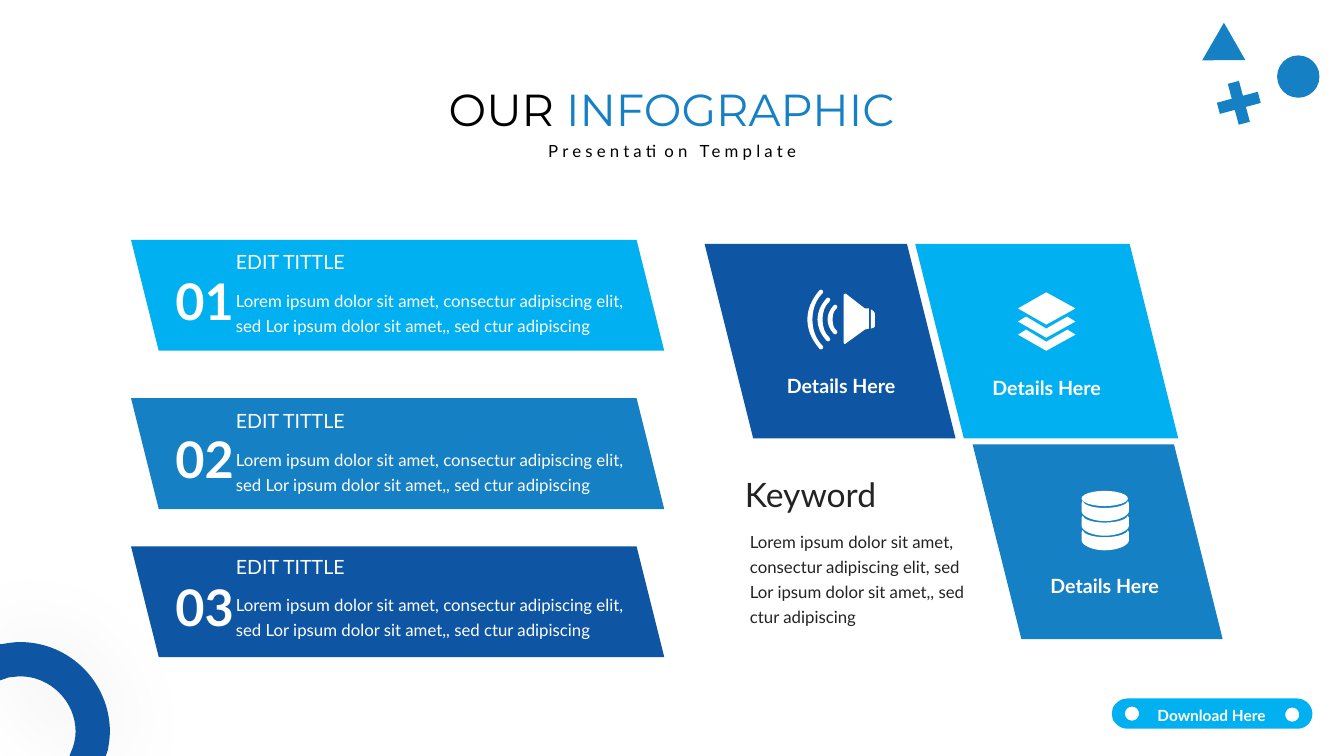
from dataclasses import dataclass

from lxml import etree
from pptx import Presentation
from pptx.dml.color import RGBColor
from pptx.enum.shapes import MSO_SHAPE
from pptx.enum.text import MSO_ANCHOR, MSO_AUTO_SIZE, PP_ALIGN
from pptx.oxml.ns import qn
from pptx.util import Inches, Pt

PARALLELOGRAM, OVAL = MSO_SHAPE.PARALLELOGRAM, MSO_SHAPE.OVAL
TRIANGLE, PLUS = MSO_SHAPE.ISOSCELES_TRIANGLE, MSO_SHAPE.CROSS
LEFT, CENTER = PP_ALIGN.LEFT, PP_ALIGN.CENTER
TOP, GROW = MSO_ANCHOR.TOP, MSO_AUTO_SIZE.SHAPE_TO_FIT_TEXT
LOREM = ("Lorem ipsum dolor sit amet, consectur adipiscing elit, "
         "sed Lor ipsum dolor sit amet,, sed ctur adipiscing")


@dataclass(frozen=True)
class Theme:
    sky: str = "00B0F0"
    blue: str = "1580C4"
    navy: str = "0E55A3"
    white: str = "FFFFFF"
    black: str = "000000"
    ink: str = "232323"
    body_font: str = "Lato"
    title_font: str = "Montserrat"
    number: int = 36
    title: int = 32
    keyword: int = 24
    heading: int = 14
    body: int = 12
    button: int = 11


@dataclass(frozen=True)
class Box:
    left: float
    top: float
    width: float
    height: float

    def emu(self) -> list[int]:
        return [Inches(v) for v in (self.left, self.top, self.width, self.height)]


@dataclass(frozen=True)
class Card:
    number: str
    top: float
    heading_top: float
    body_top: float
    color: str


@dataclass(frozen=True)
class Tile:
    box: Box
    label: Box
    color: str


@dataclass(frozen=True)
class Wave:
    left: float
    tip: float
    half: float


THEME = Theme()
CARDS = [Card("01", 2.38, 2.48, 2.83, THEME.sky), Card("02", 3.95, 4.06, 4.41, THEME.blue),
         Card("03", 5.42, 5.51, 5.85, THEME.navy)]
TILES = [Tile(Box(9.08, 2.42, 2.61, 1.93), Box(9.35, 3.68, 2.07, 0.34), THEME.sky),
         Tile(Box(6.99, 2.42, 2.49, 1.93), Box(7.58, 3.66, 1.53, 0.34), THEME.navy),
         Tile(Box(9.65, 4.41, 2.48, 1.93), Box(10.07, 5.64, 1.78, 0.34), THEME.blue)]
WAVES = [Wave(8.21, 8.30, 0.14), Wave(8.11, 8.23, 0.21), Wave(8.01, 8.16, 0.29)]
WAVE_MIDDLE = 3.17

# Outlines in inches: M start, L line, C cubic curve, Z close
PATH_TAGS = {"M": "a:moveTo", "L": "a:lnTo", "C": "a:cubicBezTo", "Z": "a:close"}
SPEAKER = ("M 8.4 2.92 L 8.58 3.06 L 8.62 3.06 L 8.62 3.26 L 8.58 3.27 L 8.4 3.4 "
           "C 8.4 3.4 8.37 3.43 8.37 3.4 L 8.37 2.92 C 8.37 2.9 8.4 2.92 8.4 2.92 Z")
SPEAKER_BACK = ("M 8.68 3.11 L 8.68 3.24 C 8.68 3.25 8.66 3.25 8.64 3.26 "
                "L 8.64 3.07 C 8.66 3.08 8.68 3.09 8.68 3.11 Z")
LAYER_TOP = "M 10.1 3.06 L 10.38 2.9 L 10.67 3.06 L 10.38 3.22 Z"
LAYER = "M 10.38 3.26 L 10.59 3.14 L 10.67 3.19 L 10.38 3.35 L 10.1 3.19 L 10.18 3.14 Z"
DISK = ("M 10.74 4.97 C 10.75 5.01 10.84 5.04 10.96 5.04 "
        "C 11.08 5.04 11.18 5.01 11.19 4.97 C 11.19 4.98 11.2 4.99 11.2 4.99 "
        "L 11.2 5.07 C 11.2 5.12 11.09 5.17 10.96 5.17 "
        "C 10.84 5.17 10.73 5.12 10.73 5.07 L 10.73 4.99 "
        "C 10.73 4.99 10.74 4.98 10.74 4.97 Z")
RING = ("M 0.2 6.37 C 0.69 6.37 1.09 6.77 1.09 7.26 C 1.09 7.32 1.08 7.38 1.07 7.44 "
        "L 1.05 7.5 L 0.69 7.5 L 0.7 7.47 C 0.73 7.41 0.75 7.33 0.75 7.26 "
        "C 0.75 6.96 0.5 6.71 0.2 6.71 C 0.16 6.71 0.13 6.72 0.09 6.72 "
        "L 0 6.75 L 0 6.39 L 0.02 6.39 C 0.08 6.38 0.14 6.37 0.2 6.37 Z")
BUTTON = ("M 12.82 7.02 C 12.78 7.02 12.75 7.05 12.75 7.09 C 12.75 7.13 12.78 7.16 12.82 7.16 "
          "C 12.86 7.16 12.89 7.13 12.89 7.09 C 12.89 7.05 12.86 7.02 12.82 7.02 Z "
          "M 11.23 7.01 C 11.19 7.01 11.16 7.04 11.16 7.08 C 11.16 7.12 11.19 7.15 11.23 7.15 "
          "C 11.27 7.15 11.3 7.12 11.3 7.08 C 11.3 7.04 11.27 7.01 11.23 7.01 Z "
          "M 11.18 6.93 L 12.87 6.93 C 12.95 6.93 13.02 7 13.02 7.08 "
          "C 13.02 7.17 12.95 7.23 12.87 7.23 L 11.18 7.23 C 11.12 7.23 11.07 7.19 11.04 7.14 "
          "L 11.03 7.08 L 11.04 7.02 C 11.07 6.97 11.12 6.93 11.18 6.93 Z")


def paint(shape, color: str):
    shape.shadow.inherit = False
    shape.fill.solid()
    shape.fill.fore_color.rgb = RGBColor.from_string(color)
    shape.line.fill.background()
    return shape


def add_preset(slide, kind, box: Box, color: str, flip: str = "", rotation: int = 0):
    shape = paint(slide.shapes.add_shape(kind, *box.emu()), color)
    shape.rotation = rotation
    if flip:
        shape._element.spPr.get_or_add_xfrm().set(flip, "1")
    return shape


def read_outline(outline: str, drop: float) -> list[tuple[str, list[tuple[int, int]]]]:
    commands: list[tuple[str, list[float]]] = []
    for word in outline.split():
        if word in PATH_TAGS:
            commands.append((word, []))
        else:
            commands[-1][1].append(float(word))
    return [(letter, [(Inches(x), Inches(y + drop)) for x, y in zip(v[::2], v[1::2])])
            for letter, v in commands]


def add_outline(slide, outline: str, color: str, drop: float = 0):
    commands = read_outline(outline, drop)
    nodes = [points[-1] for _, points in commands if points]
    builder = slide.shapes.build_freeform(*nodes[0])
    builder.add_line_segments(nodes[1:], close=True)
    shape = paint(builder.convert_to_shape(), color)
    # Swap the straight segments for the curved ones
    contour = next(shape._element.iter(qn("a:path")))
    for segment in list(contour):
        contour.remove(segment)
    for letter, points in commands:
        segment = etree.SubElement(contour, qn(PATH_TAGS[letter]))
        for x, y in points:
            etree.SubElement(segment, qn("a:pt"), x=str(x - shape.left), y=str(y - shape.top))
    return shape


def wave_outline(wave: Wave) -> str:
    mid, half, tip, outer = WAVE_MIDDLE, wave.half, wave.tip, wave.left
    inner, back = outer + 0.05, tip - 0.03
    bend_in, bend_out = tip - 0.7 * (tip - inner), back - 0.7 * (back - outer)
    far, near, end = 0.66 * half, 0.33 * half, half - 0.03
    return (f"M {back} {mid - half} "
            f"C {tip - 0.02} {mid - half - 0.01} {tip - 0.01} {mid - half - 0.01} {tip} {mid - half} "
            f"C {tip + 0.01} {mid - half + 0.01} {tip + 0.01} {mid - end - 0.01} {tip} {mid - end} "
            f"C {bend_in} {mid - far} {inner} {mid - near} {inner} {mid} "
            f"C {inner} {mid + near} {bend_in} {mid + far} {tip} {mid + end} "
            f"C {tip + 0.01} {mid + end + 0.01} {tip + 0.01} {mid + half - 0.01} {tip} {mid + half} "
            f"C {tip - 0.01} {mid + half + 0.01} {tip - 0.02} {mid + half + 0.01} {back} {mid + half} "
            f"C {bend_out} {mid + far} {outer} {mid + near} {outer} {mid} "
            f"C {outer} {mid - near} {bend_out} {mid - far} {back} {mid - half} Z")


def style_run(run, size: int, color: str, font: str = THEME.body_font, bold: bool = False):
    run.font.size, run.font.name, run.font.bold = Pt(size), font, bold
    run.font.color.rgb = RGBColor.from_string(color)


def add_text(slide, box: Box, text: str, size: int, color: str, bold: bool = False,
             align=LEFT, spacing: float = 1.0, inset: bool = False, wrap: bool = True):
    frame = slide.shapes.add_textbox(*box.emu()).text_frame
    frame.word_wrap, frame.auto_size = wrap, GROW
    if not inset:
        frame.margin_left = frame.margin_right = frame.margin_top = frame.margin_bottom = 0
    paragraph = frame.paragraphs[0]
    paragraph.text = text
    paragraph.alignment, paragraph.line_spacing = align, spacing
    style_run(paragraph.runs[0], size, color, bold=bold)
    return paragraph.runs[0]


def add_heading(slide):
    title = slide.shapes.title
    title.left, title.top, title.width, title.height = Box(3.78, 0.76, 5.77, 0.64).emu()
    frame = title.text_frame
    frame.vertical_anchor, frame.word_wrap, frame.auto_size = TOP, True, GROW
    paragraph = frame.paragraphs[0]
    paragraph.alignment = CENTER
    for word, color in (("OUR ", THEME.black), ("INFOGRAPHIC", THEME.blue)):
        run = paragraph.add_run()
        run.text = word
        style_run(run, THEME.title, color, THEME.title_font)
    subtitle = add_text(slide, Box(5.03, 1.31, 3.28, 0.32), "Presentation Template",
                        THEME.body, THEME.black, align=CENTER, spacing=1.2, inset=True)
    subtitle.font._element.set("spc", "300")


def add_card(slide, card: Card):
    add_preset(slide, PARALLELOGRAM, Box(1.3, card.top, 5.29, 1.1), card.color, "flipH")
    add_text(slide, Box(1.74, card.top + 0.3, 0.58, 0.61), card.number, THEME.number,
             THEME.white, bold=True, wrap=False)
    add_text(slide, Box(2.34, card.heading_top, 2.04, 0.24), "EDIT TITTLE", THEME.heading, THEME.white)
    add_text(slide, Box(2.34, card.body_top, 3.92, 0.49), LOREM, THEME.body, THEME.white, spacing=1.25)


def add_icons(slide):
    outlines = [(SPEAKER, 0), (SPEAKER_BACK, 0), *((wave_outline(w), 0) for w in WAVES),
                (LAYER, 0), (LAYER, 0.13), (LAYER_TOP, 0), *((DISK, 0.29 * i / 2) for i in range(3))]
    for outline, drop in outlines:
        add_outline(slide, outline, THEME.white, drop)
    add_preset(slide, OVAL, Box(10.73, 4.87, 0.46, 0.15), THEME.white)


def add_corner_shapes(slide):
    add_preset(slide, OVAL, Box(12.67, 0.55, 0.42, 0.42), THEME.blue, "flipV", 255)
    add_preset(slide, TRIANGLE, Box(11.98, 0.32, 0.43, 0.37), THEME.blue, "flipV", 300)
    plus = add_preset(slide, PLUS, Box(12.08, 0.81, 0.42, 0.42), THEME.blue, "flipV", 255)
    plus.adjustments[0] = 0.364
    ring = add_outline(slide, RING, THEME.navy)
    effects = ring._element.spPr.find(qn("a:effectLst"))
    glow = etree.SubElement(effects, qn("a:outerShdw"), blurRad=str(Pt(65)), dist="0", dir="0")
    tint = etree.SubElement(glow, qn("a:srgbClr"), val=THEME.black)
    etree.SubElement(tint, qn("a:alpha"), val="7000")


def main():
    deck = Presentation()
    deck.slide_width, deck.slide_height = Inches(40 / 3), Inches(7.5)
    slide = deck.slides.add_slide(deck.slide_layouts[5])
    add_heading(slide)
    for card in CARDS:
        add_card(slide, card)
    # Tiles with icons and labels
    for tile in TILES:
        add_preset(slide, PARALLELOGRAM, tile.box, tile.color, "flipH")
        add_text(slide, tile.label, "Details Here", THEME.heading, THEME.white,
                 bold=True, align=CENTER, inset=True)
    add_icons(slide)
    # Keyword note
    add_text(slide, Box(7.44, 5.22, 2.21, 0.99), LOREM, THEME.body, THEME.ink, spacing=1.25)
    add_text(slide, Box(7.39, 4.6, 2.21, 0.47), "Keyword", THEME.keyword, THEME.ink, spacing=1.25)
    add_corner_shapes(slide)
    # Download button
    add_outline(slide, BUTTON, THEME.sky)
    add_text(slide, Box(11.3, 6.92, 1.44, 0.3), "Download Here", THEME.button, THEME.white,
             bold=True, align=CENTER, spacing=1.2, inset=True)
    deck.save("out.pptx")


if __name__ == "__main__":
    main()
